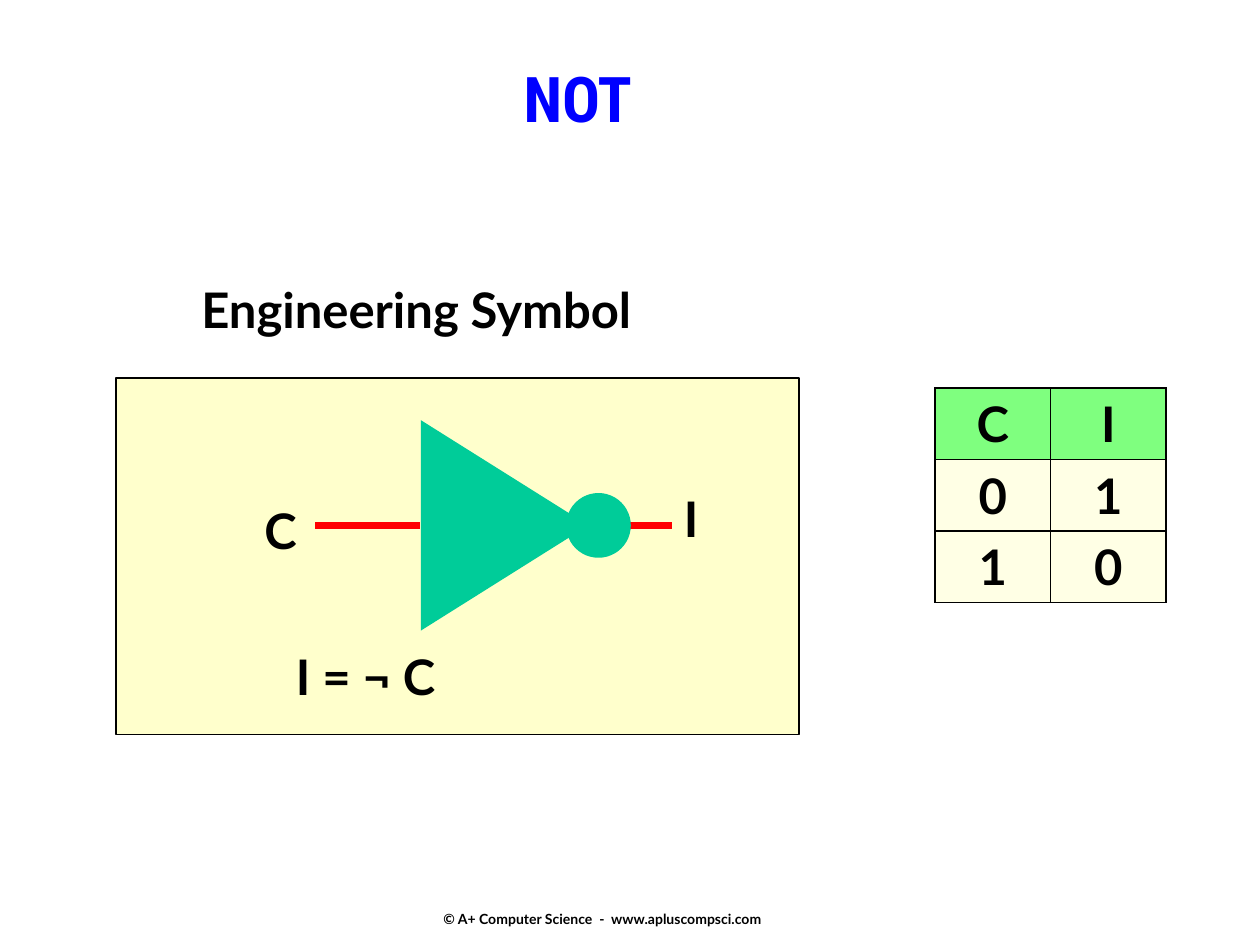
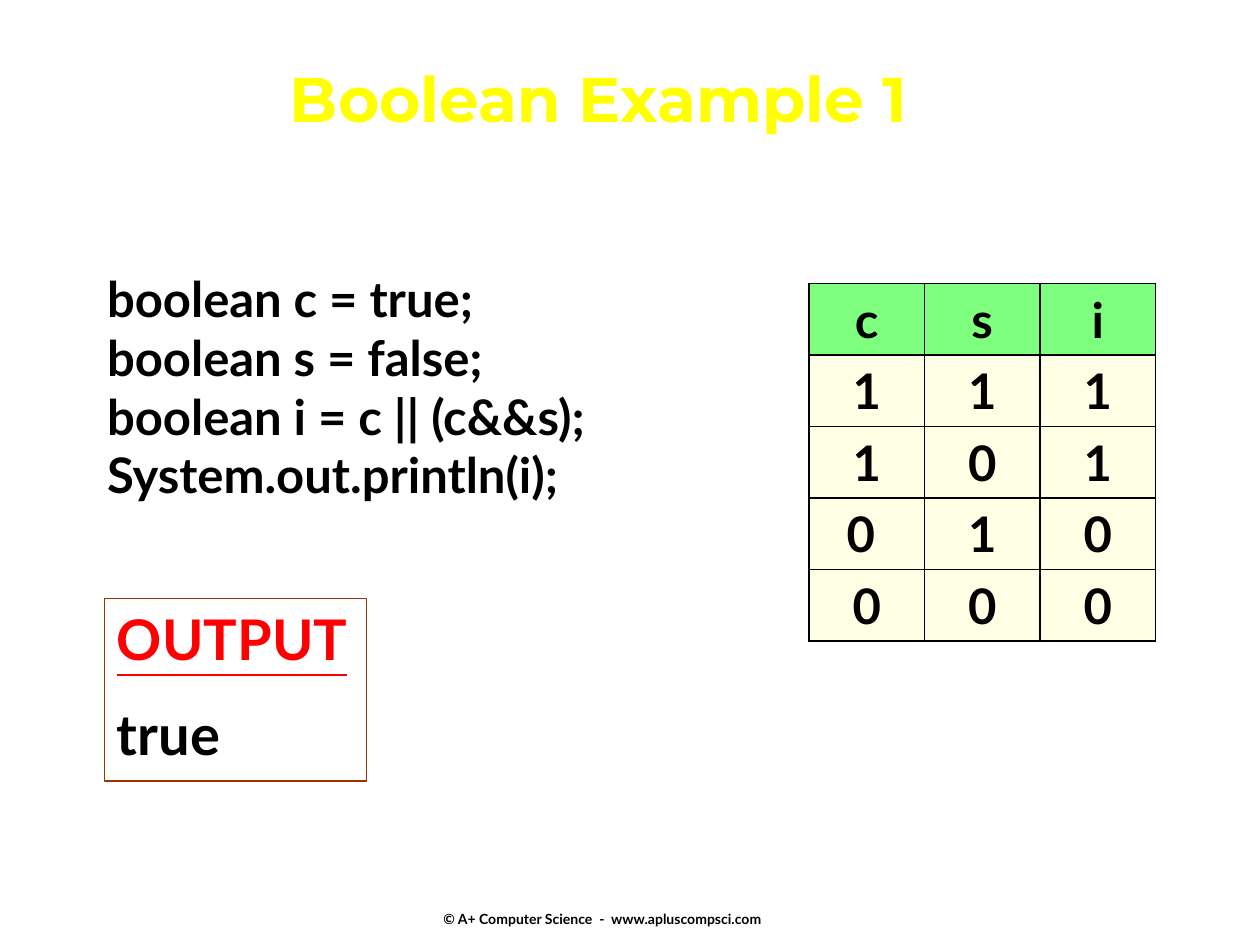
import pptx
import pptx.util
import pptx.dml.color
import pptx.enum.shapes
import pptx.enum.text
import pptx.oxml
import pptx.oxml.ns
from lxml import etree

Inches = pptx.util.Inches
Pt = pptx.util.Pt
RGBColor = pptx.dml.color.RGBColor
Shape = pptx.enum.shapes.MSO_SHAPE
Align = pptx.enum.text.PP_ALIGN
Anchor = pptx.enum.text.MSO_ANCHOR
qn = pptx.oxml.ns.qn

BLACK = RGBColor(0x00, 0x00, 0x00)
WHITE = RGBColor(0xFF, 0xFF, 0xFF)
BLUE = RGBColor(0x00, 0x00, 0xFF)
YELLOW = RGBColor(0xFF, 0xFF, 0x00)
RED = RGBColor(0xFF, 0x00, 0x00)
BROWN = RGBColor(0x99, 0x33, 0x00)
CREAM = RGBColor(0xFF, 0xFF, 0xCC)
GREEN = RGBColor(0x00, 0xFF, 0x00)
GATE = RGBColor(0x00, 0xCC, 0x99)

BODY_FONT = "Lato"
BODY_SIZE = 28
CELL_WIDTH = 0.917
CELL_HEIGHT = 0.567
FOOTER = "© A+ Computer Science  -  www.apluscompsci.com"


def add_span(para, text, size=BODY_SIZE, color=BLACK, font=BODY_FONT, underline=False):
    span = para.add_run()
    span.text = text
    span.font.name = font
    span.font.size = Pt(size)
    span.font.bold = True
    span.font.underline = underline
    span.font.color.rgb = color


def next_para(frame, index):
    return frame.paragraphs[0] if index == 0 else frame.add_paragraph()


def place(shape, left, top, width, height):
    shape.left, shape.top = Inches(left), Inches(top)
    shape.width, shape.height = Inches(width), Inches(height)


def add_label(page, text, left, top, width, height=0.57, size=BODY_SIZE, wrap=False):
    box = page.shapes.add_textbox(Inches(left), Inches(top), Inches(width), Inches(height))
    box.text_frame.word_wrap = wrap
    add_span(box.text_frame.paragraphs[0], text, size)
    return box


def add_page(deck, layout, title, area, font, color):
    page = deck.slides.add_slide(deck.slide_layouts[layout])
    page.background.fill.solid()
    page.background.fill.fore_color.rgb = WHITE
    footer = add_label(page, FOOTER, 3.42, 7.14, 3.17, 0.3, size=8, wrap=True)
    footer.text_frame.vertical_anchor = Anchor.MIDDLE
    heading = page.shapes.title
    place(heading, *area)
    frame = heading.text_frame
    frame.auto_size = pptx.enum.text.MSO_AUTO_SIZE.NONE
    frame.word_wrap = False
    frame.vertical_anchor = Anchor.TOP
    frame.paragraphs[0].alignment = Align.CENTER
    add_span(frame.paragraphs[0], title, 36, color, font)
    return page


def add_block(page, kind, left, top, width, height, fill=None, line=BLACK):
    block = page.shapes.add_shape(kind, Inches(left), Inches(top), Inches(width), Inches(height))
    block.shadow.inherit = False
    if fill is None:
        block.fill.background()
    else:
        block.fill.solid()
        block.fill.fore_color.rgb = fill
    block.line.color.rgb = line
    block.line.width = Pt(1)
    return block


def add_wire(page, start, end, height):
    wire = page.shapes.add_connector(
        pptx.enum.shapes.MSO_CONNECTOR.STRAIGHT,
        Inches(start), Inches(height), Inches(end), Inches(height))
    wire.line.color.rgb = RED
    wire.line.width = Pt(4)
    etree.SubElement(wire._element.spPr, qn("a:effectLst"))


def style_cell(cell, color):
    cell.fill.solid()
    cell.fill.fore_color.rgb = color
    properties = cell._tc.get_or_add_tcPr()
    fill_color = properties.find(qn("a:solidFill")).find(qn("a:srgbClr"))
    etree.SubElement(fill_color, qn("a:alpha")).set("val", "50000")
    for index, side in enumerate(("lnL", "lnR", "lnT", "lnB")):
        border = pptx.oxml.parse_xml(
            f'<a:{side} xmlns:a="http://schemas.openxmlformats.org/drawingml/2006/main" '
            f'w="{Pt(1)}"><a:solidFill><a:srgbClr val="{BLACK}"/></a:solidFill></a:{side}>')
        properties.insert(index, border)


def add_truth_table(page, rows, left, top):
    columns = len(rows[0])
    table = page.shapes.add_table(
        len(rows), columns, Inches(left), Inches(top),
        Inches(columns * CELL_WIDTH), Inches(len(rows) * CELL_HEIGHT)).table
    table.horz_banding = False
    for row_index, row in enumerate(rows):
        for column_index, value in enumerate(row):
            cell = table.cell(row_index, column_index)
            style_cell(cell, GREEN if row_index == 0 else CREAM)
            para = cell.text_frame.paragraphs[0]
            para.alignment = Align.CENTER
            add_span(para, value)


def add_code(page, lines, area):
    body = page.placeholders[1]
    place(body, *area)
    for index, line in enumerate(lines):
        para = next_para(body.text_frame, index)
        properties = para._p.get_or_add_pPr()
        properties.set("marL", "0")
        properties.set("indent", "0")
        etree.SubElement(properties, qn("a:buNone"))
        para.space_before = Pt(0)
        add_span(para, line)


def add_output(page, text):
    box = add_block(page, Shape.RECTANGLE, 0.83, 4.75, 2.08, 1.45, line=BROWN)
    frame = box.text_frame
    frame.word_wrap = True
    frame.vertical_anchor = Anchor.TOP
    for index, (line, color) in enumerate((("OUTPUT", RED), (text, BLACK))):
        para = next_para(frame, index)
        para.alignment = Align.LEFT
        if index:
            para.space_before = Pt(16)
        add_span(para, line, 32, color, underline=index == 0)


def add_not_gate(page):
    axis = 4.17
    add_block(page, Shape.RECTANGLE, 0.92, 3, 5.42, 2.83, CREAM)
    add_wire(page, 4.58, 5.33, axis)
    add_wire(page, 2.5, 3.33, axis)
    length, span = 1.33, 1.67
    triangle = add_block(page, Shape.ISOSCELES_TRIANGLE, 3.34 + (length - span) / 2,
                         axis - length / 2, span, length, GATE, GATE)
    triangle.rotation = 90
    triangle.line.fill.background()
    add_block(page, Shape.OVAL, 4.5, axis - 0.25, 0.5, 0.5, GATE, GATE)
    add_label(page, "C", 2, 3.92, 0.46)
    add_label(page, "I", 5.33, 3.83, 0.39)
    add_label(page, "I = ¬ C", 2.25, 5.08, 1.74)


def main():
    deck = pptx.Presentation()
    deck.slide_width, deck.slide_height = Inches(10), Inches(7.5)

    page = add_page(deck, 5, "NOT", (1.92, 0.42, 5.33, 1.17), "Roboto Condensed", BLUE)
    add_label(page, "Engineering Symbol", 1.5, 2.17, 4.1)
    add_not_gate(page)
    add_truth_table(page, ["CI", "01", "10"], 7.42, 3.08)

    page = add_page(deck, 1, "Boolean Example 1", (1, 0.42, 7.5, 1.08), "Montserrat", YELLOW)
    add_code(page, ["boolean c = true;", "boolean s = false;",
                    "boolean i = c || (c&&s);", "System.out.println(i);"],
             (0.75, 2.08, 5.5, 2.44))
    add_output(page, "true")
    add_truth_table(page, ["csi", "111", "101", ("0 ", "1", "0"), "000"], 6.42, 2.25)

    deck.save("out.pptx")


if __name__ == "__main__":
    main()
